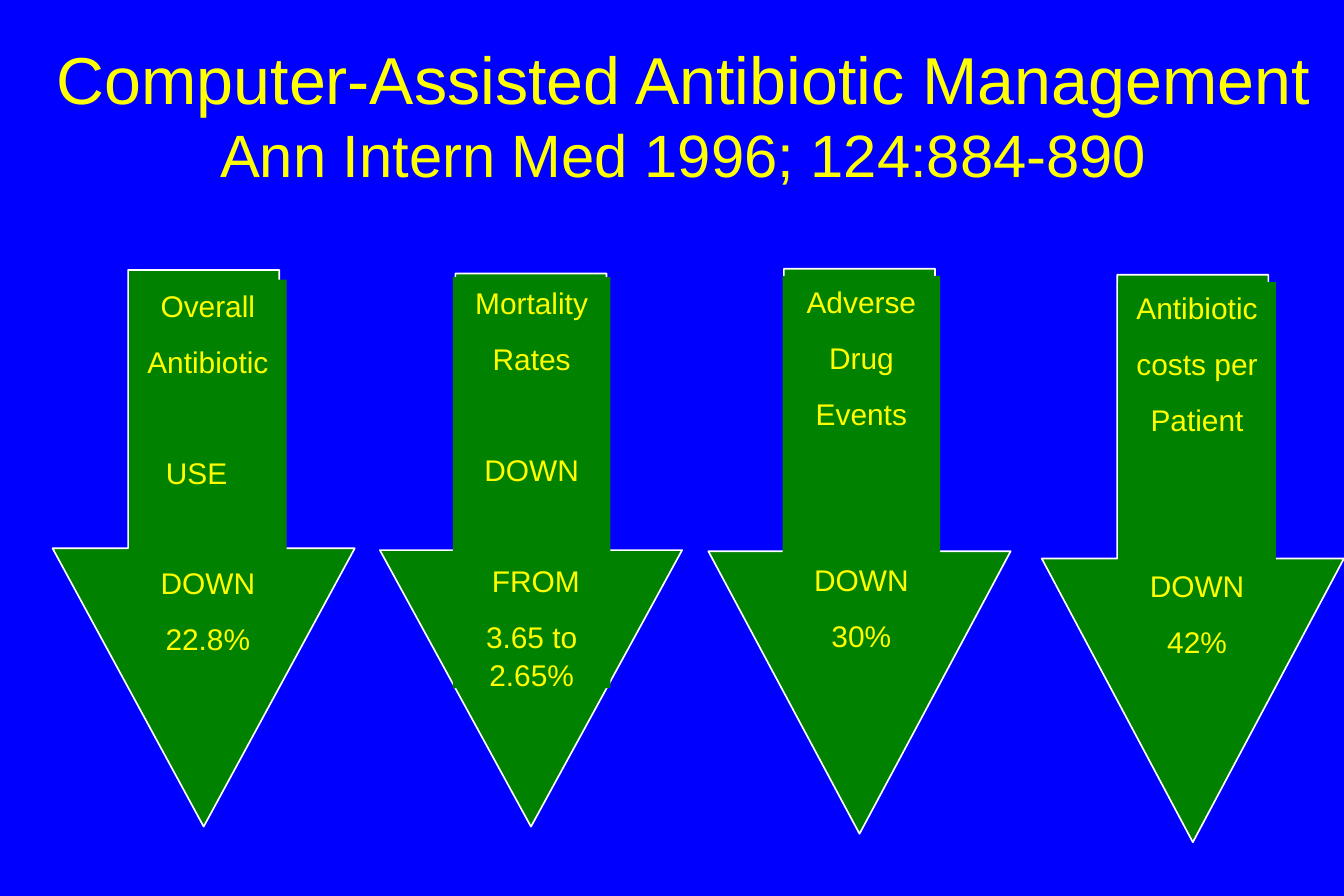
from pptx import Presentation
from pptx.dml.color import RGBColor
from pptx.enum import shapes, text
from pptx.util import Inches, Pt

BLUE, GREEN, YELLOW, WHITE = "0000FF", "008100", "FFFF00", "FFFFFF"
ARROW_WIDTH, LABEL_WIDTH = 2.53, 1.32
GAP = 11.2           # space before a line, in points
SKIP = GAP + 32.9    # the same with one empty line above
SKIP_TWO = SKIP + 32.9


def paint(color_format, value):
    color_format.rgb = RGBColor.from_string(value)


def write(paragraph, words, size=18, before=0, spacing=None, indent=0,
          align=text.PP_ALIGN.CENTER):
    """Append a formatted run to the paragraph; indent is in inches."""
    paragraph.alignment = align
    paragraph.space_before = Pt(before)
    if spacing:
        paragraph.line_spacing = spacing
    if indent:
        paragraph._p.get_or_add_pPr().set("marL", str(Inches(indent)))
    run = paragraph.add_run()
    run.text = words
    run.font.name = "Arial"
    run.font.size = Pt(size)
    paint(run.font.color, YELLOW)


prs = Presentation()
prs.slide_width, prs.slide_height = Inches(11.25), Inches(7.5)
slide = prs.slides.add_slide(prs.slide_layouts[5])
slide.background.fill.solid()
paint(slide.background.fill.fore_color, BLUE)

title = slide.shapes.title
title.left, title.top = Inches(0.2), Inches(0.33)
title.width, title.height = Inches(11.04), Inches(1.31)
title.text_frame.vertical_anchor = text.MSO_ANCHOR.BOTTOM
title.text_frame.auto_size = text.MSO_AUTO_SIZE.NONE
heading = title.text_frame.paragraphs[0]
write(heading, "Computer-Assisted Antibiotic Management", size=40)
heading.add_line_break()
write(heading, "Ann Intern Med 1996; 124:884-890", size=36)

# Arrow left, top, height; label left, top, height; lines with their format
outcomes = [
    ((0.44, 2.26, 4.66), (1.08, 2.34, 3.14), [
        ("Overall", {}),
        ("Antibiotic", {"before": GAP}),
        ("USE", {"before": SKIP, "indent": 0.21, "align": text.PP_ALIGN.LEFT}),
        ("DOWN", {"before": SKIP}),
        ("22.8%", {"before": GAP})]),
    ((3.18, 2.29, 4.63), (3.79, 2.32, 3.44), [
        ("Mortality", {}),
        ("Rates", {"before": GAP}),
        ("DOWN", {"before": SKIP}),
        ("FROM", {"before": SKIP, "indent": 0.07}),
        ("3.65 to 2.65%", {"before": GAP})]),
    ((5.93, 2.25, 4.73), (6.55, 2.31, 3.14), [
        ("Adverse", {}),
        ("Drug", {"before": GAP}),
        ("Events", {"before": GAP}),
        ("DOWN", {"before": SKIP_TWO}),
        ("30%", {"before": GAP})]),
    ((8.72, 2.3, 4.75), (9.36, 2.36, 3.14), [
        ("Antibiotic", {}),
        ("costs per", {"before": GAP}),
        ("Patient", {"before": GAP}),
        ("DOWN", {"before": SKIP_TWO}),
        ("42%", {"before": GAP})]),
]

for (left, top, height), (label_left, label_top, label_height), lines in outcomes:
    group = slide.shapes.add_group_shape()
    arrow = group.shapes.add_shape(
        shapes.MSO_SHAPE.DOWN_ARROW, Inches(left), Inches(top),
        Inches(ARROW_WIDTH), Inches(height))
    arrow.adjustments[0] = 0.5
    arrow.adjustments[1] = height / 2 / ARROW_WIDTH  # head takes half the height
    label = group.shapes.add_shape(
        shapes.MSO_SHAPE.RECTANGLE, Inches(label_left), Inches(label_top),
        Inches(LABEL_WIDTH), Inches(label_height))
    for part in (arrow, label):
        part.shadow.inherit = False
        part.fill.solid()
        paint(part.fill.fore_color, GREEN)
    paint(arrow.line.color, WHITE)
    arrow.line.width = Pt(1)
    label.line.fill.background()

    frame = label.text_frame
    frame.word_wrap = True
    frame.vertical_anchor = text.MSO_ANCHOR.TOP
    for number, (words, style) in enumerate(lines):
        paragraph = frame.add_paragraph() if number else frame.paragraphs[0]
        write(paragraph, words, spacing=1.05, **style)

prs.save("out.pptx")
